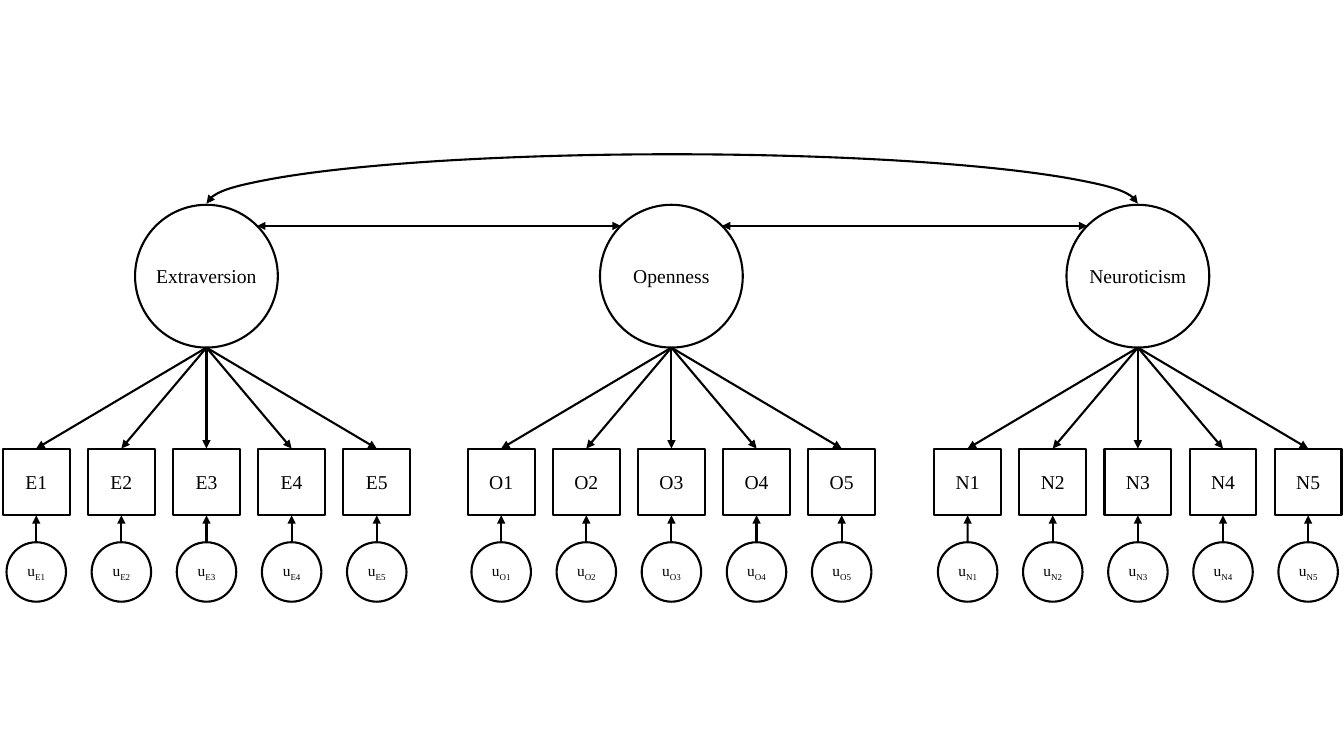
from pptx import Presentation
from pptx import util as u
from pptx.dml import color
from pptx.enum import shapes, text
from pptx.oxml import ns
from lxml import etree

TRAITS = [("Extraversion", 147.5), ("Openness", 479.6), ("Neuroticism", 812.8)]
ITEMS = range(1, 6)
STEP = 60.8
BIG = {"top": 146.3, "size": 102}
BOX = {"top": 320.4, "size": 47.7}
ERR = {"top": 387.3, "size": 42.5}
LINK = {"top": 161.4, "reach": 36.2}
ARC = {"top": 110.2, "tall": 72, "angles": (108.07, 215.93)}
INK, PAPER, FACE = "000000", "FFFFFF", "Times New Roman"
FRAME = {"vertical_anchor": text.MSO_ANCHOR.MIDDLE, "word_wrap": True}
TIGHT = {"margin_left": 0, "margin_right": 0}
KIND = shapes.MSO_SHAPE


def rgb(code):
    return color.RGBColor.from_string(code)


def apply(obj, form):
    for name, val in form.items():
        setattr(obj, name, val)


def stroke(item, *ends):
    item.line.width = u.Pt(1.5)
    item.line.color.rgb = rgb(INK)
    ln = item.line._get_or_add_ln()
    for end in ends:
        etree.SubElement(ln, ns.qn("a:" + end), type="triangle")


def node(kind, mid, spot, parts, size, form={}):
    side = spot["size"]
    item = slide.shapes.add_shape(
        kind, u.Pt(mid - side / 2), u.Pt(spot["top"]), u.Pt(side), u.Pt(side))
    item.shadow.inherit = False
    item.fill.solid()
    item.fill.fore_color.rgb = rgb(PAPER)
    stroke(item)
    frame = item.text_frame
    apply(frame, {**FRAME, **form})
    para = frame.paragraphs[0]
    para.alignment = text.PP_ALIGN.CENTER
    for i, word in enumerate(parts):
        run = para.add_run()
        run.text = word
        apply(run.font, {"name": FACE, "size": u.Pt(size)})
        run.font.color.rgb = rgb(INK)
        if i:
            run._r.get_or_add_rPr().set("baseline", "-25000")
    return item


def arrow(x1, y1, x2, y2, *ends):
    item = slide.shapes.add_connector(
        shapes.MSO_CONNECTOR.STRAIGHT, u.Pt(x1), u.Pt(y1), u.Pt(x2), u.Pt(y2))
    stroke(item, *ends)
    etree.SubElement(item._element.spPr, ns.qn("a:effectLst"))
    return item


deck = Presentation()
apply(deck, {"slide_width": u.Pt(960), "slide_height": u.Pt(540)})
slide = deck.slides.add_slide(deck.slide_layouts[6])

for trait, hub in TRAITS:
    node(KIND.OVAL, hub, BIG, [trait], 14, TIGHT)
    for num in ITEMS:
        mid = hub + (num - 3) * STEP
        code = f"{trait[0]}{num}"
        box = node(KIND.RECTANGLE, mid, BOX, [code], 14)
        err = node(KIND.OVAL, mid, ERR, ["u", code], 11)
        load = arrow(hub, BIG["top"] + BIG["size"], mid, BOX["top"], "tailEnd")
        load.end_connect(box, 0)
        rise = arrow(mid, ERR["top"], mid, BOX["top"] + BOX["size"], "tailEnd")
        rise.begin_connect(err, 0)
        rise.end_connect(box, 2)

hubs = [hub for _, hub in TRAITS]
for left, right in zip(hubs, hubs[1:]):
    arrow(left + LINK["reach"], LINK["top"], right - LINK["reach"], LINK["top"],
          "headEnd", "tailEnd")

arc = slide.shapes.add_shape(
    KIND.ARC, u.Pt(hubs[0]), u.Pt(ARC["top"]), u.Pt(hubs[-1] - hubs[0]), u.Pt(ARC["tall"]))
arc.shadow.inherit = False
arc.fill.background()
for i, turn in enumerate(ARC["angles"]):
    arc.adjustments[i] = turn
stroke(arc, "headEnd", "tailEnd")

deck.save("out.pptx")
